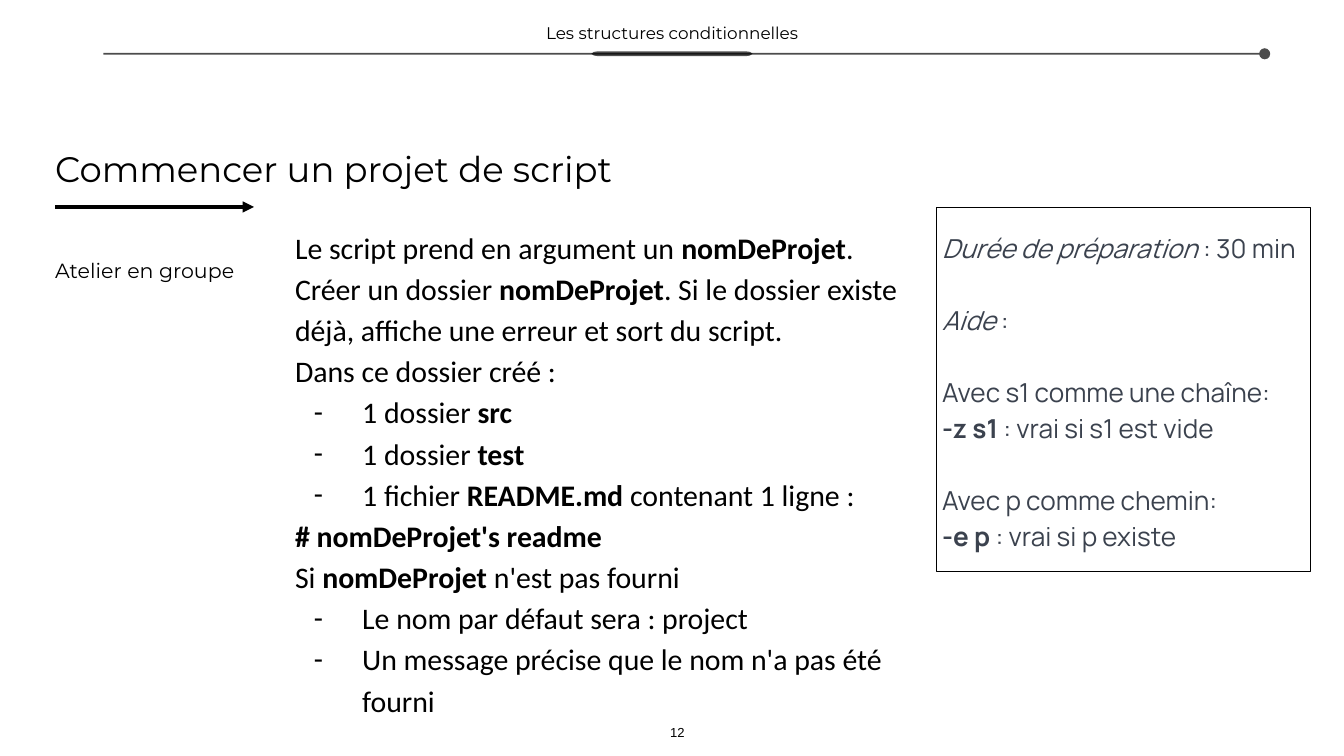
from lxml.etree import SubElement
from pptx import Presentation
from pptx.dml.color import RGBColor
from pptx.enum.shapes import MSO_CONNECTOR, MSO_SHAPE
from pptx.enum.text import MSO_ANCHOR, PP_ALIGN
from pptx.oxml.ns import qn
from pptx.util import Inches, Pt

COLUMNS, ROWS = 100, 56.25
CELL = Inches(0.1)
BLACK, SLATE = "000000", "3B424E"

TASKS = [
    (False, [("Le script prend en argument un ", ""), ("nomDeProjet", "b"), (".", "")]),
    (False, [("Créer un dossier ", ""), ("nomDeProjet", "b"),
             (". Si le dossier existe déjà, affiche une erreur et sort du script.", "")]),
    (False, [("Dans ce dossier créé :", "")]),
    (True, [("1 dossier ", ""), ("src", "b")]),
    (True, [("1 dossier ", ""), ("test", "b")]),
    (True, [("1 fichier ", ""), ("README.md", "b"), (" contenant 1 ligne :", "")]),
    (False, [("# nomDeProjet's readme", "b")]),
    (False, [("Si ", ""), ("nomDeProjet ", "b"), ("n'est pas fourni", "")]),
    (True, [("Le nom par défaut sera : project", "")]),
    (True, [("Un message précise que le nom n'a pas été fourni", "")]),
]

HINTS = [
    (False, [("Durée de préparation", "i"), (" : 30 min", "")]),
    (True, [("Aide ", "i"), (":", "")]),
    (True, [("Avec s1 comme une chaîne:", "")]),
    (False, [("-z s1", "b"), (" : vrai si s1 est vide", "")]),
    (True, [("Avec p comme chemin:", "")]),
    (False, [("-e p", "b"), (" : vrai si p existe", "")]),
]


def color(value):
    return RGBColor.from_string(value)


def grid(*lengths):
    return [round(length * CELL) for length in lengths]


def set_alpha(fill_element, percent):
    SubElement(fill_element.find(".//" + qn("a:srgbClr")), qn("a:alpha"), val=str(percent * 1000))


def set_frame(shape, inset, anchor=MSO_ANCHOR.MIDDLE):
    frame = shape.text_frame
    frame.word_wrap = True
    frame.vertical_anchor = anchor
    frame.margin_left = frame.margin_right = Inches(inset)
    frame.margin_top = frame.margin_bottom = Inches(inset)
    return frame


def add_runs(paragraph, runs, font, size, tint=BLACK):
    for text, style in runs:
        run = paragraph.add_run()
        run.text = text
        run.font.name = font
        run.font.size = Pt(size)
        run.font.bold = style == "b"
        run.font.italic = style == "i"
        run.font.color.rgb = color(tint)


def add_label(slide, box, text, font, size, align=PP_ALIGN.LEFT, anchor=MSO_ANCHOR.MIDDLE):
    frame = set_frame(slide.shapes.add_textbox(*grid(*box)), 0.02, anchor)
    paragraph = frame.paragraphs[0]
    paragraph.alignment = align
    add_runs(paragraph, [(text, "")], font, size)


def add_rule(slide, start, end, width, tail):
    connector = slide.shapes.add_connector(MSO_CONNECTOR.STRAIGHT, *grid(*start, *end))
    connector.line.color.rgb = color(BLACK)
    connector.line.width = Pt(width)
    SubElement(connector.line._get_or_add_ln(), qn("a:tailEnd"), type=tail)
    SubElement(connector._element.spPr, qn("a:effectLst"))
    return connector


def add_paragraphs(frame, items, font, size, tint=BLACK):
    for index, (flag, runs) in enumerate(items):
        paragraph = frame.add_paragraph() if index else frame.paragraphs[0]
        paragraph.alignment = PP_ALIGN.LEFT
        paragraph.line_spacing = 1.15
        add_runs(paragraph, runs, font, size, tint)
        yield flag, paragraph


def add_dash(paragraph):
    properties = paragraph._p.get_or_add_pPr()
    properties.set("marL", str(Inches(0.5)))
    properties.set("indent", str(Inches(-0.36)))
    bullet_color = SubElement(properties, qn("a:buClr"))
    SubElement(bullet_color, qn("a:srgbClr"), val=BLACK)
    SubElement(properties, qn("a:buFont"), typeface="Calibri")
    SubElement(properties, qn("a:buChar"), char="-")


def add_header(slide, box):
    left, top, width, height = box
    middle, rule = left + width / 2, top + height
    line = add_rule(slide, (left + 7.7, rule), (left + 94.1, rule), 1, "oval")
    set_alpha(line.line._get_or_add_ln(), 70)
    add_label(slide, (middle - 13.9, top + 1.5, 27.8, 1.9),
              "Les structures conditionnelles", "Montserrat", 9, PP_ALIGN.CENTER)
    outline = [(-6, 0), (-5.8, -0.14), (-5.5, -0.18), (5.5, -0.18),
               (5.8, -0.14), (6, 0), (5.8, 0.14), (5.5, 0.18), (-5.5, 0.18), (-5.8, 0.14)]
    points = [grid(middle + x, rule + y) for x, y in outline]
    builder = slide.shapes.build_freeform(*points[0])
    builder.add_line_segments(points[1:], close=True)
    marker = builder.convert_to_shape()
    marker.shadow.inherit = False
    marker.fill.solid()
    marker.fill.fore_color.rgb = color(BLACK)
    set_alpha(marker._element.spPr, 69)
    marker.line.fill.background()


def add_title(slide, box):
    left, top, width, height = box
    add_label(slide, (left, top, width, 3.6), "Commencer un projet de script", "Montserrat", 19)
    add_rule(slide, (left + 0.2, top + 4.7), (left + 15, top + 4.7), 2, "triangle")
    add_label(slide, (left, top + height - 2.3, 14.4, 2.3), "Atelier en groupe", "Montserrat", 11)


def add_tasks(slide, box):
    frame = set_frame(slide.shapes.add_textbox(*grid(*box)), 0.04)
    for dashed, paragraph in add_paragraphs(frame, TASKS, "Calibri", 16):
        if dashed:
            add_dash(paragraph)


def add_hints(slide, box):
    panel = slide.shapes.add_shape(MSO_SHAPE.RECTANGLE, *grid(*box))
    panel.shadow.inherit = False
    panel.fill.background()
    panel.line.color.rgb = color(BLACK)
    panel.line.width = Pt(0.75)
    frame = set_frame(panel, 0.04)
    for spaced, paragraph in add_paragraphs(frame, HINTS, "Manrope", 14, SLATE):
        if spaced:
            paragraph.space_before = Pt(19.4)


def add_page_number(slide, box):
    add_label(slide, box, "12", "Arial", 7, PP_ALIGN.CENTER, MSO_ANCHOR.BOTTOM)


def main():
    presentation = Presentation()
    presentation.slide_width, presentation.slide_height = grid(COLUMNS, ROWS)
    slide = presentation.slides.add_slide(presentation.slide_layouts[6])
    add_title(slide, (3.9, 10.7, 65.8, 10.6))
    add_tasks(slide, (21.55, 15.95, 48.2, 38.2))
    add_page_number(slide, (49.25, 53.65, 2.3, 1.6))
    add_header(slide, (0, 0, COLUMNS, 4))
    add_hints(slide, (69.7, 15.45, 27.8, 27.1))
    presentation.save("out.pptx")


if __name__ == "__main__":
    main()
